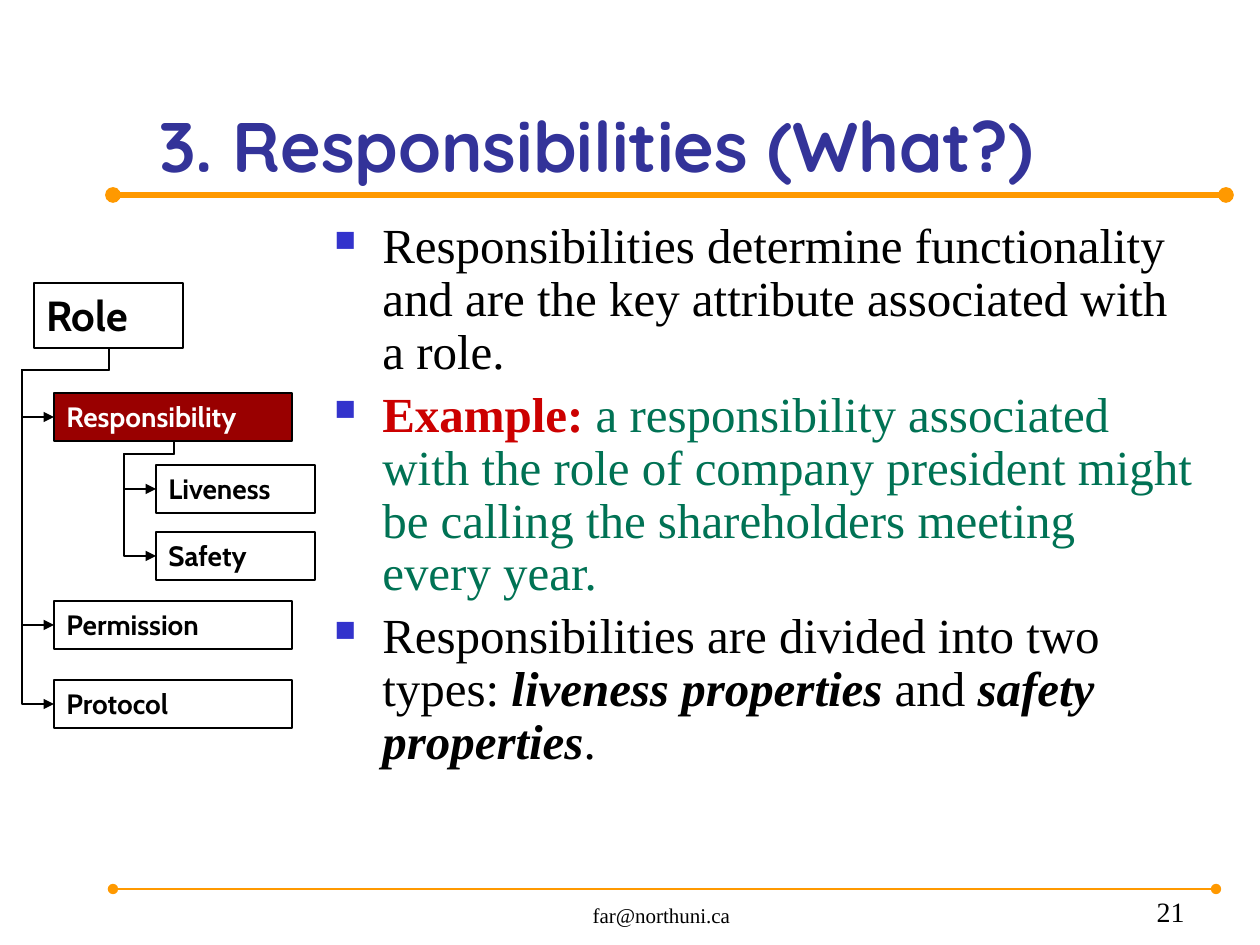
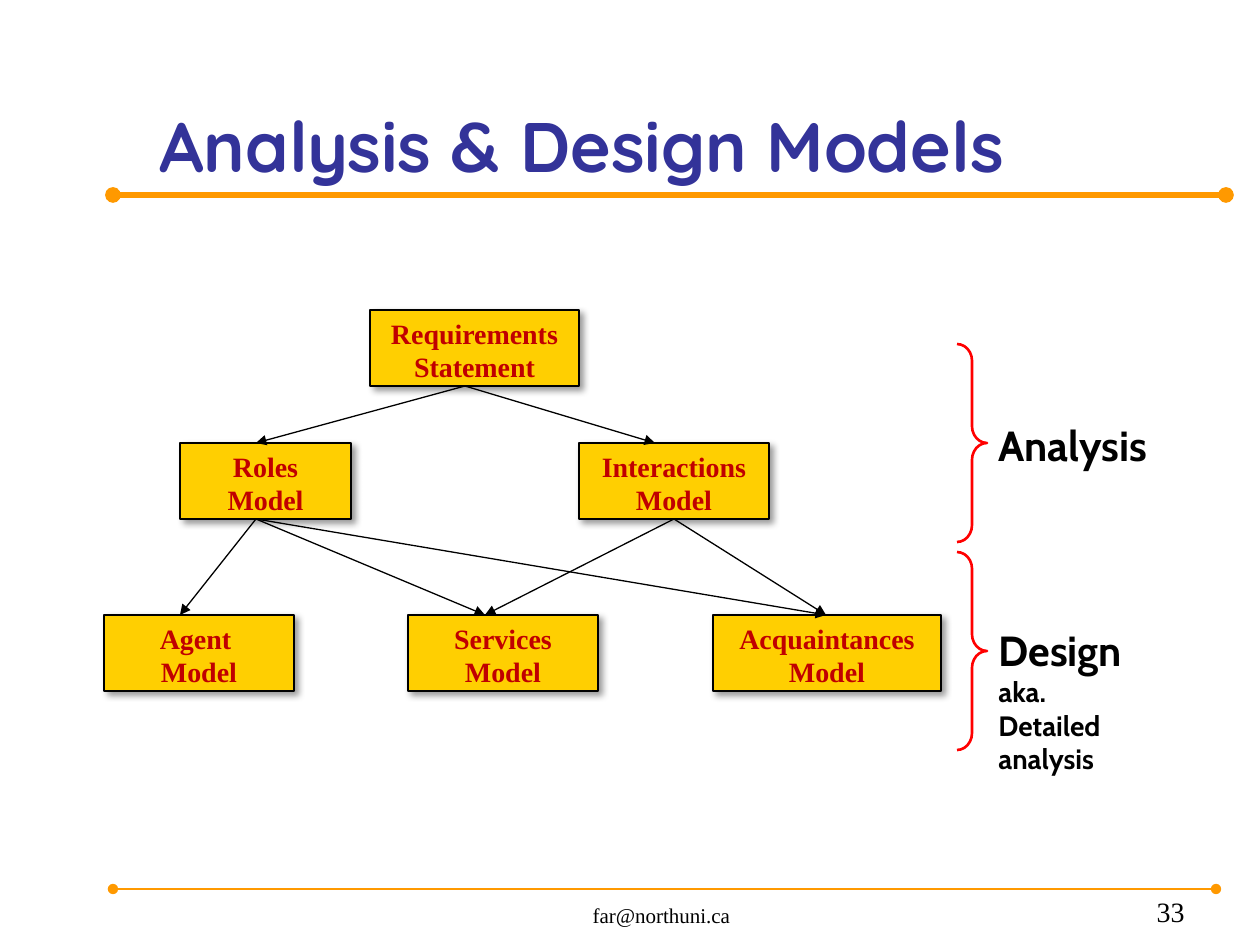
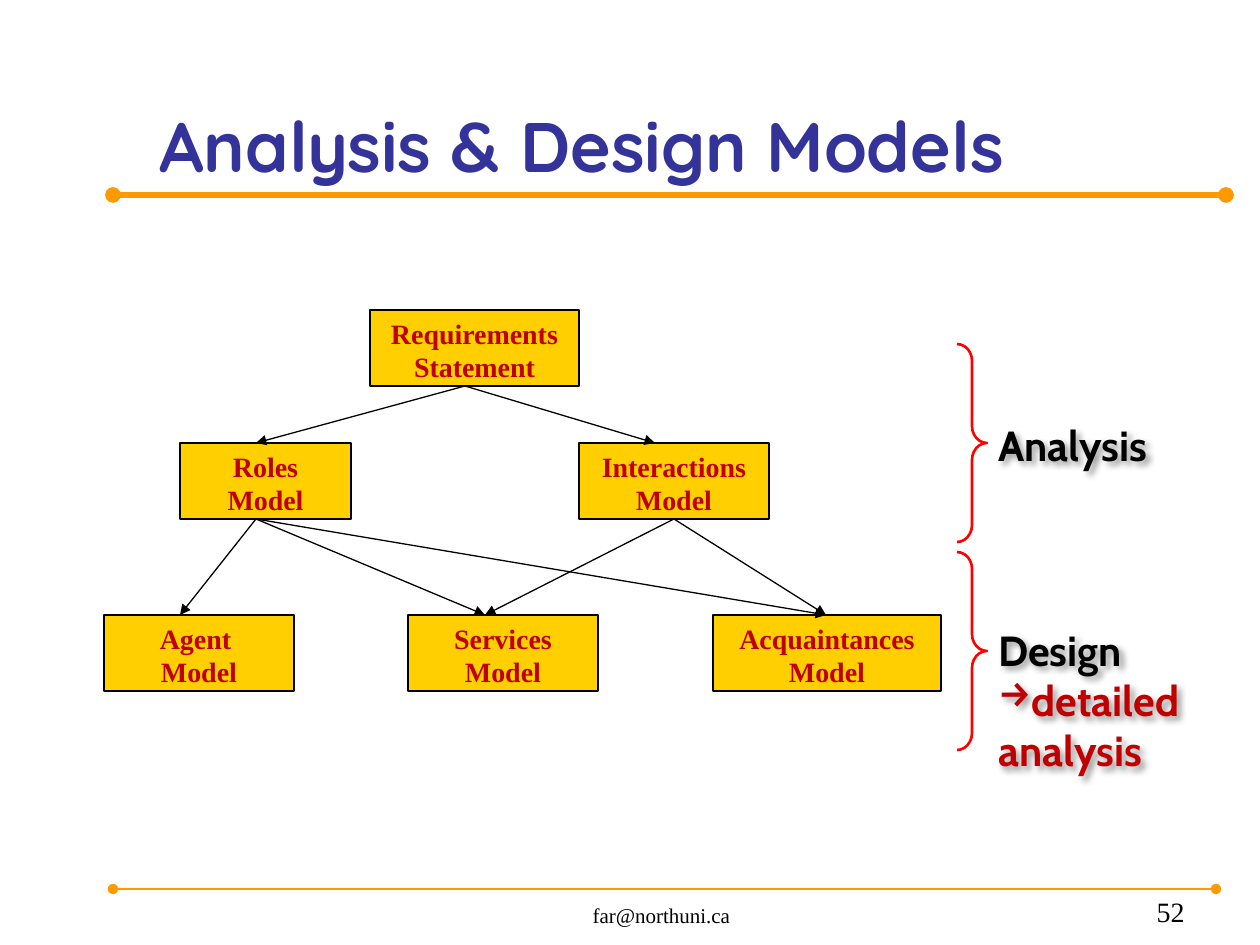
from lxml import etree
from pptx import Presentation
from pptx import util as u
from pptx.dml.color import RGBColor
from pptx.enum import shapes, text
from pptx.oxml.ns import qn

SERIF, LABEL_FONT, TITLE_FONT = "Times New Roman", "Cabin", "Quicksand"
BLACK, WHITE, ORANGE, INDIGO = "000000", "FFFFFF", "FF9900", "333399"
GOLD, DARK_RED, BRACE_RED, ROLE_RED = "FFCF01", "C00000", "FF0000", "990000"
EXAMPLE_RED, GREEN, BULLET_BLUE = "CC0000", "007254", "3333CC"
ALIGN = text.PP_ALIGN
ANCHOR = text.MSO_ANCHOR

RESPONSIBILITY_POINTS = [
    [("Responsibilities determine functionality and are the key attribute "
      "associated with a role.", BLACK, False, False)],
    [("Example: ", EXAMPLE_RED, True, False),
     ("a responsibility associated with the role of company president might "
      "be calling the shareholders meeting every year.", GREEN, False, False)],
    [("Responsibilities are divided into two types: ", BLACK, False, False),
     ("liveness properties", BLACK, True, True),
     (" and ", BLACK, False, False),
     ("safety properties", BLACK, True, True),
     (".", BLACK, False, False)],
]
MODEL_HEIGHT = 76
MODELS = [
    ("Roles Model", 180, 443, 171),
    ("Requirements Statement", 370, 310, 209),
    ("Interactions Model", 579, 443, 190),
    ("Agent \nModel", 104, 615, 190),
    ("Services Model", 408, 615, 190),
    ("Acquaintances Model", 713, 615, 228),
]
MODEL_ARROWS = [
    ((465, 386), [(256, 443), (655, 443)]),
    ((256, 519), [(180, 615), (485, 615), (826, 615)]),
    ((674, 519), [(485, 615), (826, 615)]),
]


def px(length):
    """Turn px at 126 to the inch into EMU."""
    return u.Emu(round(length * 914400 / 126))


def rgb(code):
    """Turn a hex string into a colour."""
    return RGBColor.from_string(code)


def add_xml(parent, tag, **attributes):
    """Append a DrawingML element and return it."""
    return etree.SubElement(parent, qn("a:" + tag), attributes)


def style(run, size, face, color=BLACK, bold=False, italic=False):
    """Format one run."""
    run.font.size = u.Pt(size)
    run.font.name = face
    run.font.color.rgb = rgb(color)
    run.font.bold = bold
    run.font.italic = italic


def write(shape, words, size, face, color=BLACK, bold=False,
          align=ALIGN.LEFT, anchor=ANCHOR.TOP):
    """Fill a shape with uniformly formatted text."""
    frame = shape.text_frame
    frame.text = words
    frame.word_wrap = True
    frame.vertical_anchor = anchor
    for paragraph in frame.paragraphs:
        paragraph.alignment = align
        for run in paragraph.runs:
            style(run, size, face, color, bold)


def add_label(slide, box, words, size, face, **look):
    """Add a text box at a px rectangle."""
    label = slide.shapes.add_textbox(*map(px, box))
    write(label, words, size, face, **look)
    return label


def add_outline(slide, kind, box, line=BLACK, width=0.75, fill=None):
    """Add a preset shape with a plain outline."""
    outline = slide.shapes.add_shape(kind, *map(px, box))
    outline.shadow.inherit = False
    outline.line.color.rgb = rgb(line)
    outline.line.width = u.Pt(width)
    if fill:
        outline.fill.solid()
        outline.fill.fore_color.rgb = rgb(fill)
    else:
        outline.fill.background()
    return outline


def cast_shadow(shape):
    """Give a shape a soft shadow towards the lower right."""
    shape.shadow.inherit = False
    effects = shape.element.spPr.find(qn("a:effectLst"))
    shadow = add_xml(effects, "outerShdw", blurRad=str(u.Pt(4)),
                     dist=str(u.Pt(3)), dir="2700000", algn="tl",
                     rotWithShape="0")
    add_xml(add_xml(shadow, "srgbClr", val=BLACK), "alpha", val="40000")


def add_line(slide, start, end, color=BLACK, width=0.75, head="none",
             tail="triangle", kind=shapes.MSO_CONNECTOR.STRAIGHT):
    """Add a connector with the given end marks."""
    line = slide.shapes.add_connector(kind, *map(px, (*start, *end)))
    line.line.color.rgb = rgb(color)
    line.line.width = u.Pt(width)
    properties = line.element.spPr
    stroke = properties.find(qn("a:ln"))
    add_xml(stroke, "headEnd", type=head)
    add_xml(stroke, "tailEnd", type=tail)
    add_xml(properties, "effectLst")
    return line


def add_branch(slide, start, end, spine, drop):
    """Add an arrow that drops, follows a spine on the left and turns right."""
    across, down = start[0] - end[0], end[1] - start[1]
    left = (start[0] + end[0] - down) / 2
    top = (start[1] + end[1] - across) / 2
    branch = add_line(slide, (left, top), (left + down, top + across),
                      kind=shapes.MSO_CONNECTOR.ELBOW)
    properties = branch.element.spPr
    properties.find(qn("a:xfrm")).set("rot", "5400000")
    geometry = properties.find(qn("a:prstGeom"))
    geometry.set("prst", "bentConnector4")
    guides = geometry.find(qn("a:avLst"))
    ratios = (drop / down, (start[0] - spine) / across)
    for number, ratio in enumerate(ratios, 1):
        add_xml(guides, "gd", name=f"adj{number}",
                fmla=f"val {round(ratio * 100000)}")


def add_bullet(paragraph, mark, indent=0, color=None, percent=100):
    """Put a bullet mark before a paragraph."""
    properties = paragraph._p.get_or_add_pPr()
    properties.set("marL", str(px(indent)))
    properties.set("indent", str(-px(indent)))
    if color:
        add_xml(add_xml(properties, "buClr"), "srgbClr", val=color)
    add_xml(properties, "buSzPct", val=str(percent * 1000))
    add_xml(properties, "buChar", char=mark)


def start_slide(deck, title, number):
    """Add a slide with the shared title, rules and footer."""
    slide = deck.slides.add_slide(deck.slide_layouts[6])
    for y, right, width in ((195, 1226, 3), (889, 1216, 1.5)):
        add_line(slide, (113, y), (right, y), ORANGE, width, "oval", "oval")
    add_label(slide, (462, 879, 399, 55), "far@northuni.ca", 12, SERIF,
              align=ALIGN.CENTER, anchor=ANCHOR.BOTTOM)
    add_label(slide, (935, 879, 262, 55), str(number), 16, SERIF,
              align=ALIGN.RIGHT, anchor=ANCHOR.BOTTOM)
    add_label(slide, (147, 35, 1085, 158), title, 40, TITLE_FONT,
              color=INDIGO, bold=True, anchor=ANCHOR.BOTTOM)
    return slide


def add_points(slide, box, points):
    """Add the bulleted body text."""
    frame = slide.shapes.add_textbox(*map(px, box)).text_frame
    frame.word_wrap = True
    for index, segments in enumerate(points):
        paragraph = frame.add_paragraph() if index else frame.paragraphs[0]
        paragraph.line_spacing = 0.9
        paragraph.space_before = u.Pt(5.6)
        add_bullet(paragraph, "■", 48, BULLET_BLUE, 60)
        for words, *look in segments:
            run = paragraph.add_run()
            run.text = words
            style(run, 28, SERIF, *look)


def add_role_box(slide, words, box, size=16, fill=None, color=BLACK):
    """Add one box of the role tree."""
    role_box = add_outline(slide, shapes.MSO_SHAPE.RECTANGLE, box, fill=fill)
    write(role_box, words, size, LABEL_FONT, color, bold=True)


def add_role_tree(slide):
    """Draw the role with its parts and their branches."""
    height = 48
    add_role_box(slide, "Role", (34, 283, 149, 65), size=24)
    parts = [("Responsibility", 393, ROLE_RED, WHITE),
             ("Permission", 601, None, BLACK),
             ("Protocol", 680, None, BLACK)]
    for words, top, fill, color in parts:
        add_role_box(slide, words, (54, top, 238, height), 16, fill, color)
        add_branch(slide, (109, 348), (54, top + height / 2), 22, 22)
    for words, top in (("Liveness", 465), ("Safety", 532)):
        add_role_box(slide, words, (156, top, 159, height))
        add_branch(slide, (174, 441), (156, top + height / 2), 124, 13)


def add_models(slide, shadowed):
    """Draw the models, the arrows between them and the phase braces."""
    for words, left, top, width in MODELS:
        model = add_outline(slide, shapes.MSO_SHAPE.RECTANGLE,
                            (left, top, width, MODEL_HEIGHT), fill=GOLD)
        write(model, words, 16, SERIF, DARK_RED, bold=True,
              align=ALIGN.CENTER)
        if shadowed:
            cast_shadow(model)
    for start, ends in MODEL_ARROWS:
        for end in ends:
            add_line(slide, start, end)
    for top in (344, 552):
        brace = add_outline(slide, shapes.MSO_SHAPE.RIGHT_BRACE,
                            (957, top, 30, 198), BRACE_RED, 1.5)
        brace.adjustments[0] = 0.56


def add_phases(slide, design_words, design_width):
    """Label the analysis and design phases and return both labels."""
    return [add_label(slide, box, words, 24, LABEL_FONT, bold=True)
            for words, box in (("Analysis", (986, 413, 199, 63)),
                               (design_words, (986, 618, design_width, 165)))]


def main():
    """Build the three slides."""
    deck = Presentation()
    deck.slide_width, deck.slide_height = px(1260), px(945)

    responsibilities = start_slide(deck, "3. Responsibilities (What?)", 21)
    add_points(responsibilities, (322, 215, 884, 625), RESPONSIBILITY_POINTS)
    add_role_tree(responsibilities)

    overview = start_slide(deck, "Analysis & Design Models", 33)
    add_models(overview, shadowed=True)
    _, design = add_phases(overview, "Design\naka.\nDetailed\nanalysis", 171)
    for paragraph in design.text_frame.paragraphs[1:]:
        paragraph.runs[0].font.size = u.Pt(16)

    recap = start_slide(deck, "Analysis & Design Models", 52)
    add_models(recap, shadowed=False)
    phases = add_phases(recap, "Design\ndetailed\nanalysis", 239)
    detail = phases[1].text_frame.paragraphs[1:]
    for paragraph in detail:
        paragraph.runs[0].font.color.rgb = rgb(DARK_RED)
    add_bullet(detail[0], "→")
    for phase in phases:
        cast_shadow(phase)

    deck.save("out.pptx")


if __name__ == "__main__":
    main()
